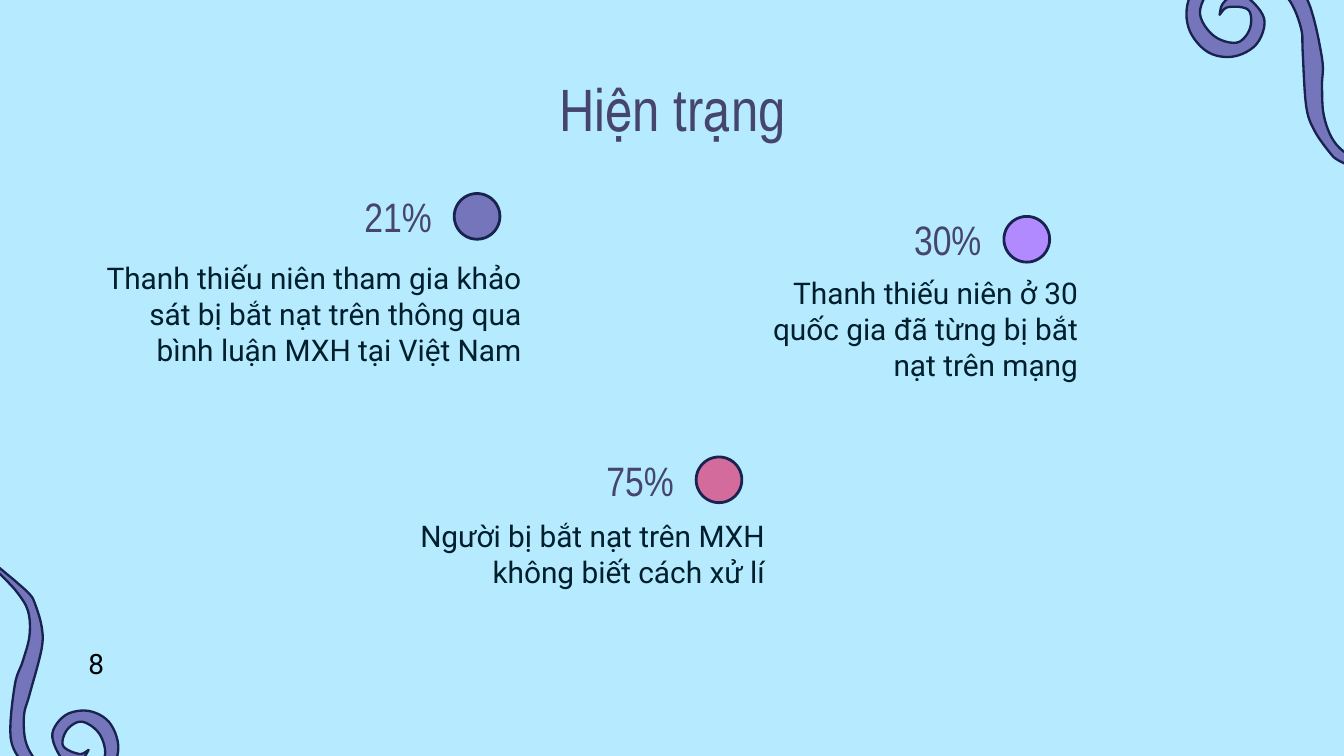
from dataclasses import dataclass
from math import cos, radians, sin

from pptx import Presentation
from pptx.dml.color import RGBColor
from pptx.enum.shapes import MSO_SHAPE
from pptx.enum.text import MSO_ANCHOR, PP_ALIGN
from pptx.util import Inches, Pt


@dataclass(frozen=True)
class Theme:
    sky: str = "B6EAFF"
    heading: str = "454570"
    body: str = "001F2C"
    black: str = "000000"
    outline: str = "19234F"
    violet: str = "7575BC"
    lilac: str = "B28AFF"
    pink: str = "D36C9D"
    heading_font: str = "Arial Narrow"
    body_font: str = "Roboto"
    title_size: int = 32
    number_size: int = 22
    body_size: int = 16
    page_size: int = 15


T = Theme()
W = 10
H = W * 9 / 16
COL, ROW = W / 100, H / 100
SWIRL_CENTER = (0.21, 5.07)
SWIRL_INNER = [
    (-0.09, 4.15), (-0.01, 4.22), (0.11, 4.32), (0.22, 4.42), (0.26, 4.49),
    (0.31, 4.66), (0.31, 4.83), (0.22, 5.17), (0.18, 5.32), (0.19, 5.51),
    (0.26, 5.65), (0.36, 5.75), (0.48, 5.8), (0.57, 5.8), (0.66, 5.77),
    (0.78, 5.63), (0.74, 5.46), (0.61, 5.37), (0.5, 5.43), (0.47, 5.55),
    (0.59, 5.61), (0.66, 5.58)]
SWIRL_OUTER = [
    (0.66, 5.58), (0.62, 5.64), (0.54, 5.67), (0.45, 5.63), (0.39, 5.46),
    (0.49, 5.32), (0.66, 5.29), (0.81, 5.37), (0.88, 5.54), (0.84, 5.71),
    (0.7, 5.85), (0.51, 5.9), (0.32, 5.84), (0.18, 5.69), (0.08, 5.49),
    (0.11, 5.1), (0.17, 4.92), (0.22, 4.73), (0.21, 4.55), (0.13, 4.41),
    (0, 4.27), (-0.06, 4.21), (-0.09, 4.15)]


def rgb(color):
    return RGBColor.from_string(color)


def place(box):
    x, y, w, h = box
    return [Inches(v) for v in (x * COL, y * ROW, w * COL, h * ROW)]


def paint(sp, fill, width):
    sp.shadow.inherit = False
    sp.fill.solid()
    sp.fill.fore_color.rgb = rgb(fill)
    sp.line.color.rgb = rgb(T.outline)
    sp.line.width = Pt(width)


def text(s, box, words, font, size, color, align,
         anchor=MSO_ANCHOR.MIDDLE, pad=0.1):
    tf = s.shapes.add_textbox(*place(box)).text_frame
    tf.word_wrap = True
    tf.vertical_anchor = anchor
    tf.margin_left = tf.margin_right = Inches(0.1)
    tf.margin_top = tf.margin_bottom = Inches(pad)
    p = tf.paragraphs[0]
    p.text = words
    p.alignment = align
    p.font.name = font
    p.font.size = Pt(size)
    p.font.color.rgb = rgb(color)


def smooth(points, steps=6):
    padded = [points[0], *points, points[-1]]
    curve = []
    for a, b, c, d in zip(padded, padded[1:], padded[2:], padded[3:]):
        for t in (i / steps for i in range(steps)):
            curve.append(tuple(
                (2 * q + (r - p) * t + (2 * p - 5 * q + 4 * r - u) * t ** 2
                 + (3 * q - p - 3 * r + u) * t ** 3) / 2
                for p, q, r, u in zip(a, b, c, d)))
    return curve


def swirl(s, center, scale=1, turn=0):
    cx, cy = center[0] * COL, center[1] * ROW
    co, si = scale * cos(radians(turn)), scale * sin(radians(turn))
    points = []
    for x, y in smooth(SWIRL_INNER) + smooth(SWIRL_OUTER):
        dx, dy = x - SWIRL_CENTER[0], y - SWIRL_CENTER[1]
        points.append((Inches(cx + dx * co - dy * si),
                       Inches(cy + dx * si + dy * co)))
    builder = s.shapes.build_freeform(*points[0])
    builder.add_line_segments(points[1:], close=True)
    paint(builder.convert_to_shape(), T.violet, 1.25)


def stat(s, box, number, words, color, inset):
    x, y, w, h = box
    head, dot = 7.82, 3.4
    dot_x = x + w - inset - dot
    text(s, (x, y + head, w, h - head), words,
         T.body_font, T.body_size, T.body, PP_ALIGN.RIGHT)
    text(s, (dot_x - 18.6, y, 17.9, head), number,
         T.heading_font, T.number_size, T.heading, PP_ALIGN.RIGHT)
    sp = s.shapes.add_shape(
        MSO_SHAPE.OVAL, *place((dot_x, y + 0.9, dot, dot * COL / ROW)))
    paint(sp, color, 1.5)


def main():
    prs = Presentation()
    prs.slide_width, prs.slide_height = Inches(W), Inches(H)
    s = prs.slides.add_slide(prs.slide_layouts[6])
    s.background.fill.solid()
    s.background.fill.fore_color.rgb = rgb(T.sky)
    swirl(s, (2.1, 90.13))
    swirl(s, (97.4, 8.8), scale=1.13, turn=161.5)
    text(s, (7.9, 8.65, 84.3, 11.2), "Hiện trạng",
         T.heading_font, T.title_size, T.heading, PP_ALIGN.CENTER)
    stats = [
        ((56.5, 27.73, 24.7, 23.6), "30%",
         "Thanh thiếu niên ở 30 quốc gia đã từng bị bắt nạt trên mạng",
         T.lilac, 3.1),
        ((28.5, 59.55, 29.4, 19.5), "75%",
         "Người bị bắt nạt trên MXH không biết cách xử lí", T.pink, 2.7),
        ((5.5, 24.7, 34.3, 25.75), "21%",
         "Thanh thiếu niên tham gia khảo sát bị bắt nạt trên thông qua "
         "bình luận MXH tại Việt Nam", T.violet, 2.6)]
    for item in stats:
        stat(s, *item)
    text(s, (5.6, 84.6, 13.7, 6.22), "8", T.body_font, T.page_size,
         T.black, PP_ALIGN.LEFT, MSO_ANCHOR.TOP, 0.05)
    prs.save("out.pptx")


if __name__ == "__main__":
    main()
